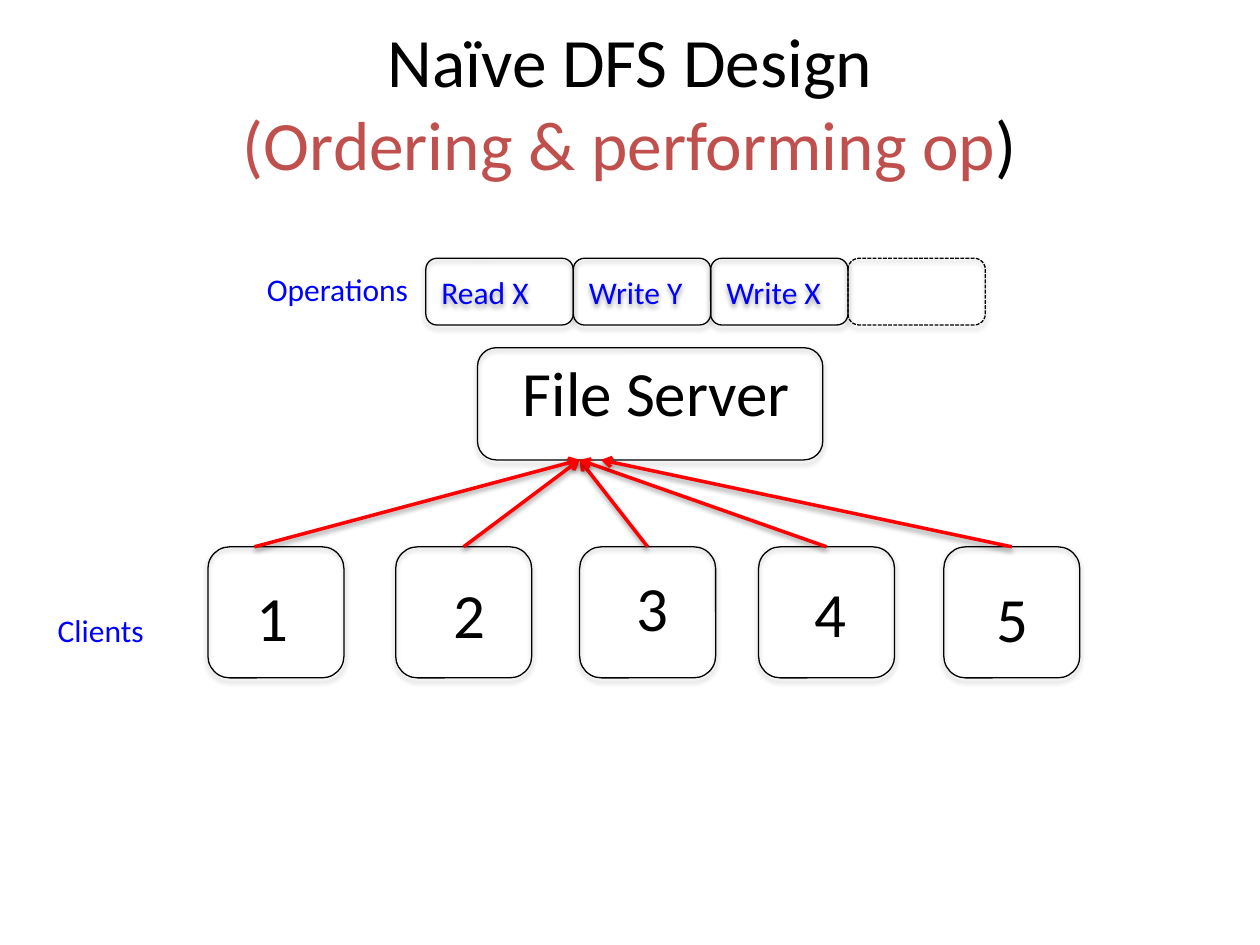
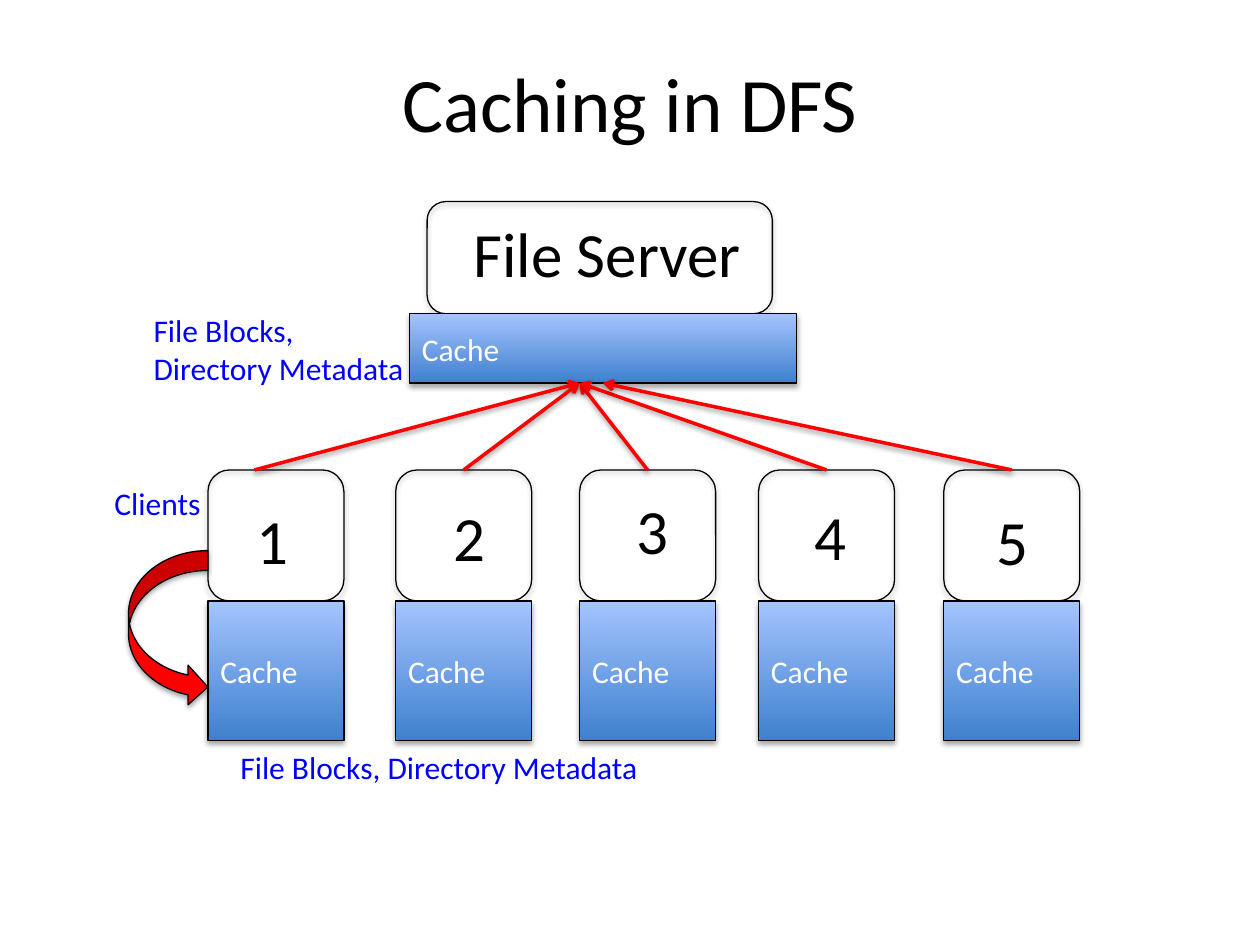
from lxml import etree
from pptx import Presentation
from pptx.dml.color import RGBColor
from pptx.enum.dml import MSO_LINE
from pptx.enum.shapes import MSO_CONNECTOR, MSO_SHAPE
from pptx.enum.text import MSO_ANCHOR, MSO_AUTO_SIZE, PP_ALIGN
from pptx.oxml.ns import qn
from pptx.util import Inches, Pt

ROUNDED = MSO_SHAPE.ROUNDED_RECTANGLE
RECTANGLE = MSO_SHAPE.RECTANGLE
CURVED_ARROW = MSO_SHAPE.CURVED_RIGHT_ARROW
STRAIGHT = MSO_CONNECTOR.STRAIGHT
DASHED = MSO_LINE.SQUARE_DOT
MIDDLE = MSO_ANCHOR.MIDDLE
GROW = MSO_AUTO_SIZE.SHAPE_TO_FIT_TEXT
CENTER = PP_ALIGN.CENTER
TOP, BOTTOM = 0, 2

FONT = "Calibri"
COLORS = {
    "black": "000000",
    "white": "FFFFFF",
    "label": "0000FF",
    "arrow": "FF0000",
    "accent": "C0504D",
    "cache_bottom": "3F80CE",
    "cache_top": "A4C4FF",
}
COLORS = {name: RGBColor.from_string(value) for name, value in COLORS.items()}

CLIENT_LEFTS = [1.65, 3.14, 4.6, 6.02, 7.49]
CLIENT_WIDTH, CLIENT_HEIGHT = 1.08, 1.04
# Offset of each client's number from the top left corner of its box
NUMBER_OFFSETS = [(0.29, 0.2), (0.36, 0.18), (0.35, 0.12), (0.35, 0.17), (0.32, 0.21)]
ARROW_TIPS = [4.6, 4.6, 4.6, 4.6, 4.77]
ARROW_STARTS = [2.02, 3.68, 5.14, 6.56, 8.04]
ARROW_RISE = 0.69


def add_shadow(item, opacity, distance):
    """Cast a soft black shadow straight down; call it after the line is set."""
    effects = etree.SubElement(item._element.spPr, qn("a:effectLst"))
    shadow = etree.SubElement(effects, qn("a:outerShdw"), blurRad=str(Pt(3.1)),
                              dist=str(Pt(distance)), dir="5400000", rotWithShape="0")
    color = etree.SubElement(shadow, qn("a:srgbClr"), val=str(COLORS["black"]))
    etree.SubElement(color, qn("a:alpha"), val=str(opacity * 1000))


def add_box(slide, kind, place, text="", size=18, color="label", fill=None):
    """Add an outlined shape, or a plain growing text box when kind is None."""
    lengths = [Inches(value) for value in place]
    if kind is None:
        shape = slide.shapes.add_textbox(*lengths)
        shape.text_frame.auto_size = GROW
    else:
        shape = slide.shapes.add_shape(kind, *lengths)
        if fill is None:
            shape.fill.background()
        elif fill == "cache":
            shape.fill.gradient()
            shape.fill.gradient_angle = 90
            for stop, name in zip(shape.fill.gradient_stops, ("cache_bottom", "cache_top")):
                stop.color.rgb = COLORS[name]
        else:
            shape.fill.solid()
            shape.fill.fore_color.rgb = COLORS[fill]
        shape.line.color.rgb = COLORS["black"]
        shape.line.width = Pt(0.75)
        add_shadow(shape, 35, 1.8)
    if text:
        shape.text_frame.text = text
        for paragraph in shape.text_frame.paragraphs:
            paragraph.font.name = FONT
            paragraph.font.size = Pt(size)
            paragraph.font.color.rgb = COLORS[color]
    return shape


presentation = Presentation()
presentation.slide_width = Inches(10)
presentation.slide_height = Inches(7.5)
title_only = presentation.slide_layouts[5]

# Title, title size, top of the clients, server box corner, server text corner, has caches
designs = [
    ("Naïve DFS Design\v(Ordering & performing op", 39.6, 4.34, (3.79, 2.76), (3.79, 2.76), False),
    ("Caching in DFS", 44, 3.73, (3.39, 1.6), (3.4, 1.65), True),
]
slides = []
for title_text, title_size, clients_top, server_corner, server_text_corner, has_caches in designs:
    slide = presentation.slides.add_slide(title_only)
    slides.append(slide)

    title = slide.shapes.title
    title.left, title.top = Inches(0.5), Inches(0.18)
    title.width, title.height = Inches(9), Inches(1.25)
    title.text_frame.vertical_anchor = MIDDLE
    title.text_frame.text = title_text
    paragraph = title.text_frame.paragraphs[0]
    paragraph.alignment = CENTER
    if not has_caches:
        paragraph.add_run().text = ")"
    for run in paragraph.runs:
        run.font.name = FONT
        run.font.size = Pt(title_size)
        run.font.color.rgb = COLORS["accent" if run.text.startswith("(") else "black"]

    clients = []
    for number, (left, offset) in enumerate(zip(CLIENT_LEFTS, NUMBER_OFFSETS), 1):
        clients.append(add_box(slide, ROUNDED, (left, clients_top, CLIENT_WIDTH, CLIENT_HEIGHT)))
        add_box(slide, None, (left + offset[0], clients_top + offset[1], 0.46, 0.71),
                str(number), 36, "black")
        if has_caches:
            add_box(slide, RECTANGLE, (left, clients_top + CLIENT_HEIGHT, CLIENT_WIDTH, 1.11),
                    "Cache", color="white", fill="cache")

    add_box(slide, ROUNDED, (*server_corner, 2.74, 0.89))
    server_text = add_box(slide, None, (*server_text_corner, 2.84, 0.71), "File Server", 36, "black")
    server_text.text_frame.word_wrap = True
    server_text.text_frame.paragraphs[0].alignment = CENTER
    if has_caches:
        server_cache = add_box(slide, RECTANGLE, (3.25, 2.49, 3.07, 0.55),
                               "Cache", color="white", fill="cache")

    for client, tip, start in zip(clients, ARROW_TIPS, ARROW_STARTS):
        arrow = slide.shapes.add_connector(STRAIGHT, Inches(tip), Inches(clients_top - ARROW_RISE),
                                           Inches(start), Inches(clients_top))
        if client is not clients[0]:
            arrow.end_connect(client, TOP)
        if has_caches and client is clients[-1]:
            arrow.begin_connect(server_cache, BOTTOM)
        arrow.line.color.rgb = COLORS["arrow"]
        arrow.line.width = Pt(2)
        etree.SubElement(arrow.line._get_or_add_ln(), qn("a:headEnd"), type="arrow")
        add_shadow(arrow, 38, 1.6)

ordering_slide, caching_slide = slides

# Queue of operations; the last slot is still free
left = 3.38
for operation, width in [("Read X", 1.17), ("Write Y", 1.09), ("Write X", 1.09), ("", 1.09)]:
    slot = add_box(ordering_slide, ROUNDED, (left, 2.05, width, 0.53), operation)
    left += width
slot.line.dash_style = DASHED

add_box(caching_slide, CURVED_ARROW, (1.02, 4.37, 0.63, 1.24), fill="arrow")

labels = [
    (ordering_slide, "Clients", (0.36, 4.8, 0.89, 0.4)),
    (ordering_slide, "Operations", (2.02, 2.09, 1.34, 0.4)),
    (caching_slide, "Clients", (0.81, 3.79, 0.89, 0.4)),
    (caching_slide, "File Blocks, Directory Metadata", (1.81, 5.89, 3.4, 0.4)),
    (caching_slide, "File Blocks,\nDirectory Metadata", (1.12, 2.42, 2.22, 0.71)),
]
for slide, text, place in labels:
    add_box(slide, None, place, text)

presentation.save("out.pptx")
